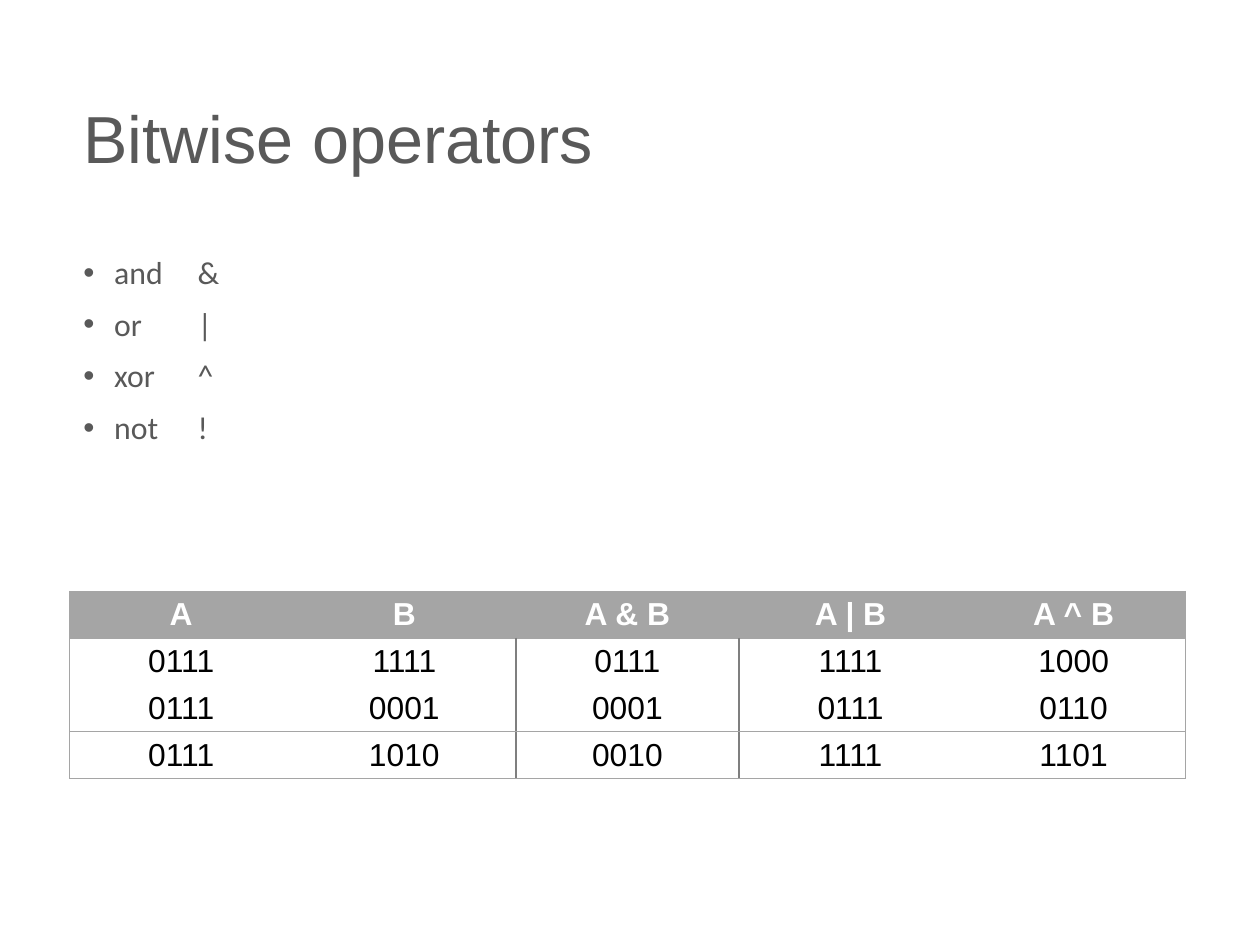
import dataclasses
from typing import Any, Optional

import lxml.etree
import pptx
import pptx.dml.color
import pptx.enum.text
import pptx.oxml.ns
import pptx.util

PAGE_WIDTH = pptx.util.Cm(28)
PAGE_HEIGHT = pptx.util.Cm(21)
INCH = pptx.util.Inches(1)


@dataclasses.dataclass(frozen=True)
class Theme:
    text: str = "595959"
    cell_text: str = "000000"
    header_text: str = "FFFFFF"
    paper: str = "FFFFFF"
    frame: str = "A5A5A5"
    divider: str = "7F7F7F"
    heading_font: str = "Arial"
    body_font: str = "Calibri"
    title_size: float = 41.9
    text_size: float = 20
    paragraph_gap: float = 11
    frame_width: float = 0.75
    divider_width: float = 1


@dataclasses.dataclass(frozen=True)
class Area:
    """A rectangle in percent of the page."""
    left: float
    top: float
    width: float
    height: float

    def place(self) -> tuple[int, int, int, int]:
        return (int(PAGE_WIDTH * self.left / 100), int(PAGE_HEIGHT * self.top / 100),
                int(PAGE_WIDTH * self.width / 100), int(PAGE_HEIGHT * self.height / 100))


@dataclasses.dataclass(frozen=True)
class Operator:
    name: str
    symbol: str


@dataclasses.dataclass(frozen=True)
class Stroke:
    color: str
    width: float


THEME = Theme()
TITLE_AREA = Area(5.72, 5.37, 88.55, 19.35)
LIST_AREA = Area(5.72, 26.6, 88.55, 72)
TABLE_AREA = Area(5.53, 62.58, 88.55, 19.83)

OPERATORS = [Operator("and", "&"), Operator("or", "|"),
             Operator("xor", "^"), Operator("not", "!")]
TRUTH_ROWS = [
    ["A", "B", "A & B", "A | B", "A ^ B"],
    ["0111", "1111", "0111", "1111", "1000"],
    ["0111", "0001", "0001", "0111", "0110"],
    ["0111", "1010", "0010", "1111", "1101"],
]
DIVIDER_COLUMNS = {2, 3}  # columns with a divider on their left
RULED_ROWS = {0, 1, 3, 4}  # rows with a rule above them

FRAME = Stroke(THEME.frame, THEME.frame_width)
DIVIDER = Stroke(THEME.divider, THEME.divider_width)


def apply(target: Any, values: dict[str, Any]) -> None:
    for name, value in values.items():
        setattr(target, name, value)


def add_element(parent: Any, tag: str, **attributes: str) -> Any:
    return lxml.etree.SubElement(parent, pptx.oxml.ns.qn(tag), attributes)


def write(para: Any, text: str, color: str, **font_values: Any) -> None:
    span = para.add_run()
    span.text = text
    apply(span.font, font_values)
    span.font.color.rgb = pptx.dml.color.RGBColor.from_string(color)


def add_box(page: Any, area: Area, anchor: Any) -> Any:
    frame = page.shapes.add_textbox(*area.place()).text_frame
    apply(frame, {"word_wrap": True, "vertical_anchor": anchor})
    return frame


def add_bullet(para: Any) -> None:
    properties = para._p.get_or_add_pPr()
    indent = int(0.27 * INCH)
    properties.set("marL", str(indent))
    properties.set("indent", str(-indent))
    bullet_color = add_element(properties, "a:buClr")
    add_element(bullet_color, "a:srgbClr", val=THEME.text)
    add_element(properties, "a:buFont", typeface=THEME.heading_font)
    add_element(properties, "a:buChar", char="•")
    tabs = add_element(properties, "a:tabLst")
    add_element(tabs, "a:tab", pos=str(INCH), algn="l")


def add_border(cell: Any, side: str, stroke: Optional[Stroke]) -> None:
    width = pptx.util.Pt(stroke.width) if stroke else 0
    line = add_element(cell._tc.get_or_add_tcPr(), f"a:ln{side}", w=str(width))
    if stroke is None:
        add_element(line, "a:noFill")
        return
    fill = add_element(line, "a:solidFill")
    add_element(fill, "a:srgbClr", val=stroke.color)


def vertical_stroke(edge: int, row: int) -> Optional[Stroke]:
    if edge in (0, len(TRUTH_ROWS[0])):
        return FRAME
    return DIVIDER if row > 0 and edge in DIVIDER_COLUMNS else None


def horizontal_stroke(edge: int) -> Optional[Stroke]:
    return FRAME if edge in RULED_ROWS else None


def add_title(page: Any) -> None:
    frame = add_box(page, TITLE_AREA, pptx.enum.text.MSO_ANCHOR.MIDDLE)
    para = frame.paragraphs[0]
    para.line_spacing = 0.9
    write(para, "Bitwise operators", THEME.text, name=THEME.heading_font,
          size=pptx.util.Pt(THEME.title_size))


def add_operator_list(page: Any) -> None:
    frame = add_box(page, LIST_AREA, pptx.enum.text.MSO_ANCHOR.TOP)
    for index, operator in enumerate(OPERATORS):
        para = frame.add_paragraph() if index else frame.paragraphs[0]
        add_bullet(para)
        gap = THEME.paragraph_gap if index else 0
        apply(para, {"line_spacing": 0.9, "space_before": pptx.util.Pt(gap)})
        write(para, f"{operator.name}\t{operator.symbol}", THEME.text,
              name=THEME.body_font, size=pptx.util.Pt(THEME.text_size))


def add_truth_table(page: Any) -> None:
    table = page.shapes.add_table(len(TRUTH_ROWS), len(TRUTH_ROWS[0]),
                                  *TABLE_AREA.place()).table
    table.horz_banding = False
    for row, values in enumerate(TRUTH_ROWS):
        header = row == 0
        for column, value in enumerate(values):
            cell = table.cell(row, column)
            apply(cell, {"margin_top": pptx.util.Inches(0.05),
                         "margin_bottom": pptx.util.Inches(0.02)})
            # Borders come before the fill in the cell properties
            add_border(cell, "L", vertical_stroke(column, row))
            add_border(cell, "R", vertical_stroke(column + 1, row))
            add_border(cell, "T", horizontal_stroke(row))
            add_border(cell, "B", horizontal_stroke(row + 1))
            cell.fill.solid()
            cell.fill.fore_color.rgb = pptx.dml.color.RGBColor.from_string(
                THEME.frame if header else THEME.paper)
            para = cell.text_frame.paragraphs[0]
            para.alignment = pptx.enum.text.PP_ALIGN.CENTER
            write(para, value, THEME.header_text if header else THEME.cell_text,
                  name=THEME.heading_font, size=pptx.util.Pt(THEME.text_size),
                  bold=header)


def main() -> None:
    deck = pptx.Presentation()
    deck.slide_width = PAGE_WIDTH
    deck.slide_height = PAGE_HEIGHT
    page = deck.slides.add_slide(deck.slide_layouts[6])
    add_title(page)
    add_operator_list(page)
    add_truth_table(page)
    deck.save("out.pptx")


if __name__ == "__main__":
    main()
